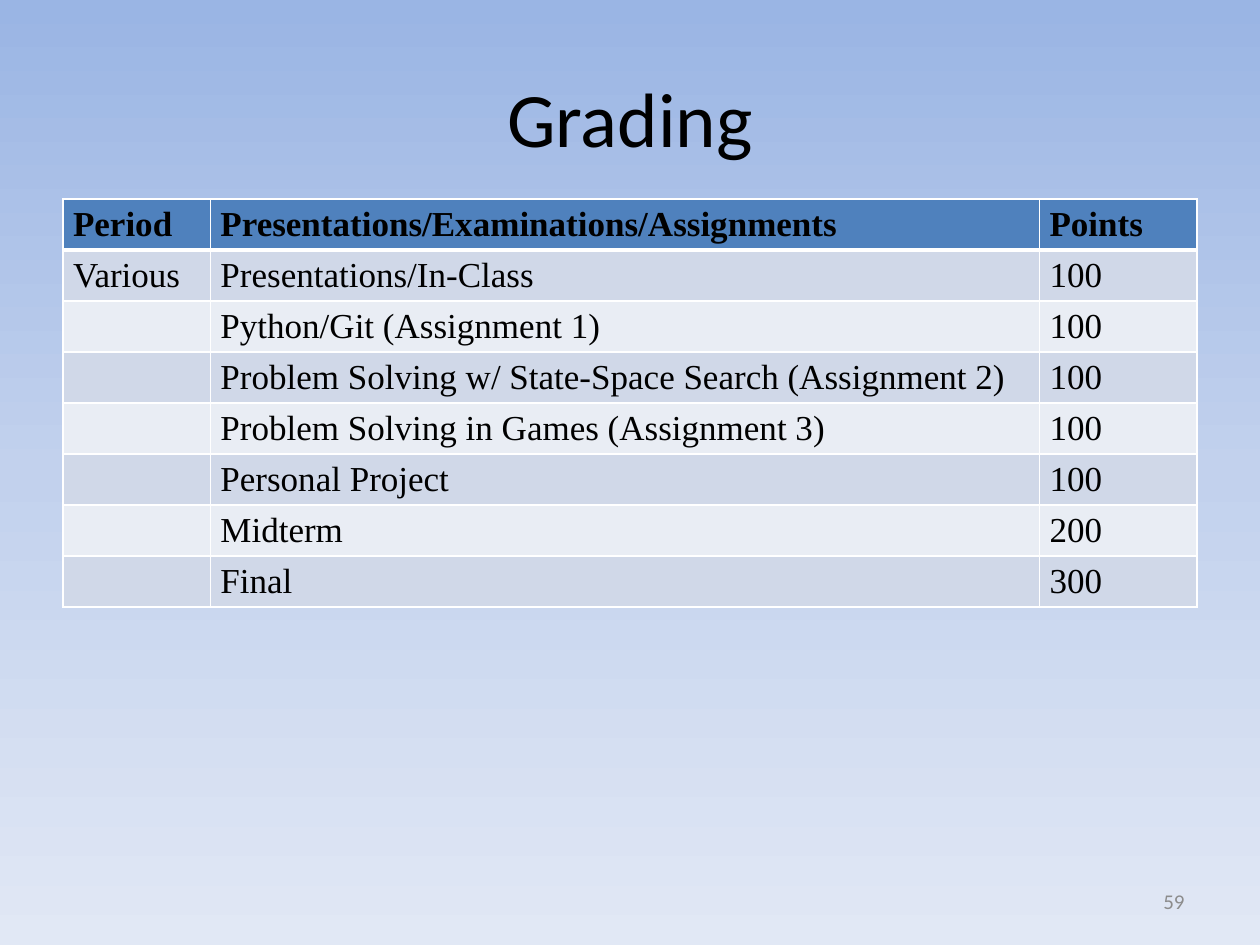
from copy import deepcopy

from pptx import Presentation
from pptx.dml.color import RGBColor
from pptx.enum.text import MSO_ANCHOR, PP_ALIGN
from pptx.oxml.ns import qn
from pptx.oxml.xmlchemy import OxmlElement
from pptx.util import Inches, Pt

COLUMN_WIDTHS = [1.17, 6.58, 1.25]
ROW_HEIGHT = 0.405
GRADES = [
    ("Period", "Presentations/Examinations/Assignments", "Points"),
    ("Various", "Presentations/In-Class", "100"),
    ("", "Python/Git (Assignment 1)", "100"),
    ("", "Problem Solving w/ State-Space Search (Assignment 2)", "100"),
    ("", "Problem Solving in Games (Assignment 3)", "100"),
    ("", "Personal Project", "100"),
    ("", "Midterm", "200"),
    ("", "Final", "300"),
]


def color(value):
    return RGBColor.from_string(value)


def add_border(cell, side, width):
    """Draw one side (L, R, T or B) of a cell in white, width in points."""
    line = OxmlElement(f"a:ln{side}")
    line.set("w", str(Pt(width)))
    fill = OxmlElement("a:solidFill")
    rgb = OxmlElement("a:srgbClr")
    rgb.set("val", "FFFFFF")
    fill.append(rgb)
    line.append(fill)
    cell._tc.get_or_add_tcPr().append(line)


class SlideBuilder:
    heading_font = "Calibri"
    table_font = "Times New Roman"
    text_color = "000000"
    muted_color = "8C8C8C"
    header_fill = "4F81BD"
    band_fills = ["E9EDF4", "D0D8E8"]
    background_colors = ["9AB5E4", "C2D1ED", "E1E8F5"]

    def __init__(self, slide):
        self.slide = slide

    def style(self, paragraph, name, size, rgb, bold=False):
        font = paragraph.font
        font.name, font.size, font.bold = name, Pt(size), bold
        font.color.rgb = color(rgb)

    def background(self):
        fill = self.slide.background.fill
        fill.gradient()
        fill.gradient_angle = 270
        stop_list = self.slide.element.find(".//" + qn("a:gsLst"))
        stop_list.append(deepcopy(stop_list[0]))
        for index, (stop, rgb) in enumerate(zip(fill.gradient_stops, self.background_colors)):
            stop.position = index / 2
            stop.color.rgb = color(rgb)

    def title(self, text, left, top, width, height):
        shape = self.slide.shapes.title
        shape.left, shape.top = Inches(left), Inches(top)
        shape.width, shape.height = Inches(width), Inches(height)
        frame = shape.text_frame
        frame.text = text
        frame.vertical_anchor = MSO_ANCHOR.MIDDLE
        paragraph = frame.paragraphs[0]
        paragraph.alignment = PP_ALIGN.CENTER
        self.style(paragraph, self.heading_font, 44, self.text_color)

    def table(self, rows, left, top):
        table = self.slide.shapes.add_table(
            len(rows), len(COLUMN_WIDTHS), Inches(left), Inches(top),
            Inches(sum(COLUMN_WIDTHS)), Inches(ROW_HEIGHT * len(rows))).table
        for column, width in zip(table.columns, COLUMN_WIDTHS):
            column.width = Inches(width)
        for row_index, texts in enumerate(rows):
            table.rows[row_index].height = Inches(ROW_HEIGHT)
            for column_index, text in enumerate(texts):
                self.cell(table.cell(row_index, column_index), text, row_index)

    def cell(self, cell, text, row_index):
        is_header = row_index == 0
        cell.margin_left = cell.margin_right = Inches(0.08)
        cell.margin_top, cell.margin_bottom = Inches(0.05), 0
        add_border(cell, "L", 1)
        add_border(cell, "R", 1)
        add_border(cell, "T", 3 if row_index == 1 else 1)
        add_border(cell, "B", 3 if is_header else 1)
        cell.fill.solid()
        cell.fill.fore_color.rgb = color(
            self.header_fill if is_header else self.band_fills[row_index % 2])
        cell.text = text
        paragraph = cell.text_frame.paragraphs[0]
        paragraph.space_after = Pt(12)
        self.style(paragraph, self.table_font, 20, self.text_color, is_header)

    def page_number(self, text, left, top, width, height):
        frame = self.slide.shapes.add_textbox(
            Inches(left), Inches(top), Inches(width), Inches(height)).text_frame
        frame.word_wrap = True
        frame.vertical_anchor = MSO_ANCHOR.MIDDLE
        frame.text = text
        paragraph = frame.paragraphs[0]
        paragraph.alignment = PP_ALIGN.RIGHT
        self.style(paragraph, self.heading_font, 12, self.muted_color)


def main():
    presentation = Presentation()
    presentation.slide_width, presentation.slide_height = Inches(10), Inches(7.5)
    title_only = presentation.slide_layouts[5]
    builder = SlideBuilder(presentation.slides.add_slide(title_only))
    builder.background()
    builder.title("Grading", 0.5, 0.3, 9, 1.25)
    builder.table(GRADES, 0.5, 1.58)
    builder.page_number("59", 7.17, 6.95, 2.33, 0.4)
    presentation.save("out.pptx")


if __name__ == "__main__":
    main()
